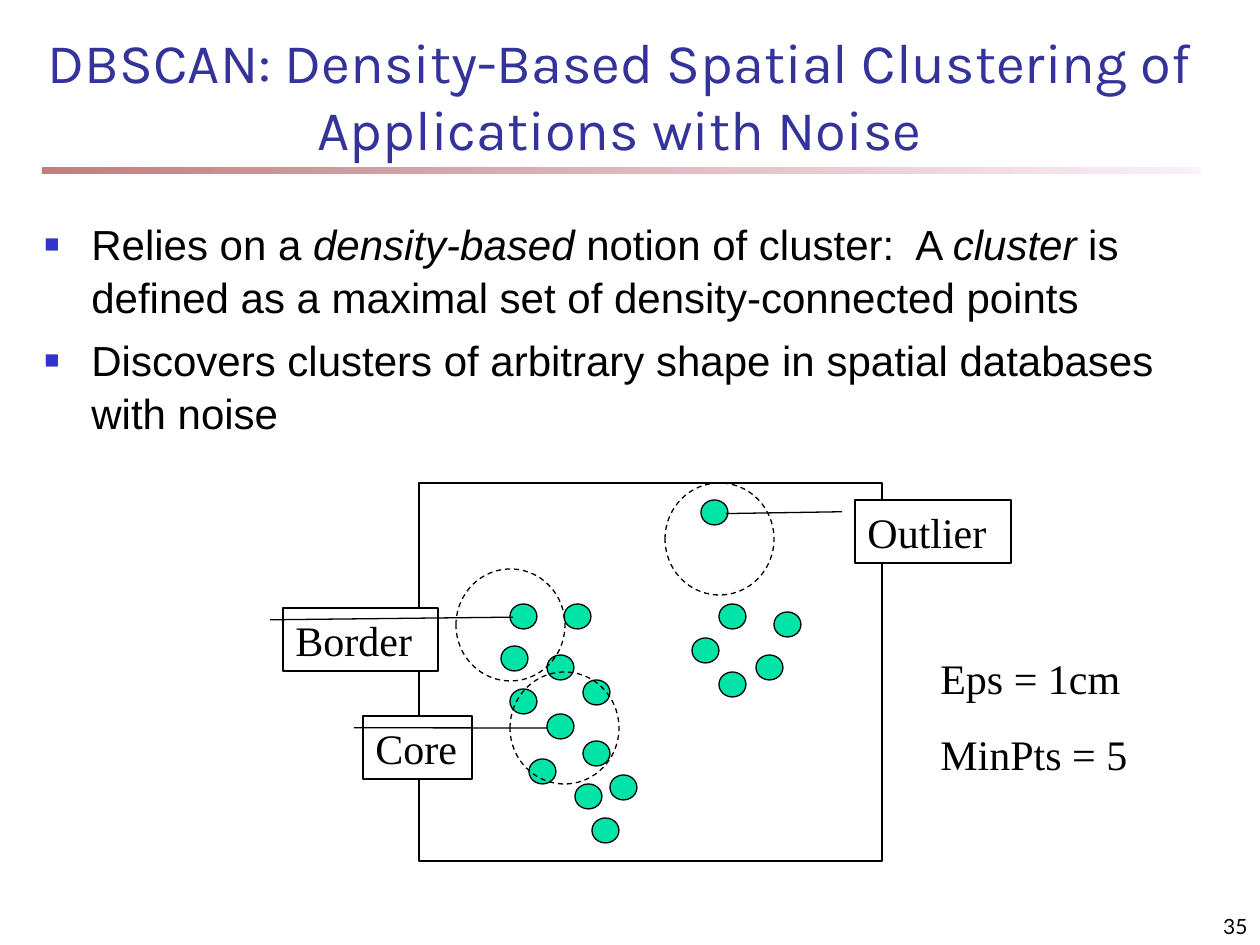
from dataclasses import dataclass

import lxml.etree
import pptx
import pptx.dml.color
import pptx.enum.dml
import pptx.enum.shapes
import pptx.enum.text
import pptx.oxml.ns
import pptx.util

PIXEL = 914400 / 126
COLORS = {
    "title": "333399",
    "text": "000000",
    "bullet": "3333CC",
    "dot": "00E4A8",
    "label": "FFFFFF",
    "rule_start": "800000",
    "rule_end": "FAE2F6",
}
SERIF = "Times New Roman"
SHAPES = pptx.enum.shapes.MSO_SHAPE
ALIGN = pptx.enum.text.PP_ALIGN
ANCHOR = pptx.enum.text.MSO_ANCHOR


@dataclass
class Box:
    left: int
    top: int
    width: int
    height: int

    def emu(self) -> list[int]:
        return [px(v) for v in (self.left, self.top, self.width, self.height)]


@dataclass
class Span:
    text: str
    italic: bool = False


@dataclass
class Callout:
    text: str
    box: Box
    end_y: float
    end_x: float


def px(value: float) -> int:
    return round(value * PIXEL)


def rgb(name: str) -> pptx.dml.color.RGBColor:
    return pptx.dml.color.RGBColor.from_string(COLORS[name])


def add_child(parent, tag: str, **attributes: str):
    return lxml.etree.SubElement(parent, pptx.oxml.ns.qn(tag), attributes)


def add_run(para, span: Span, size: int, font: str, color: str = "text") -> None:
    run = para.add_run()
    run.text = span.text
    run.font.size = pptx.util.Pt(size)
    run.font.name = font
    run.font.italic = span.italic
    run.font.color.rgb = rgb(color)


def add_text_box(page, box: Box, anchor=ANCHOR.TOP):
    frame = page.shapes.add_textbox(*box.emu()).text_frame
    frame.word_wrap = True
    frame.vertical_anchor = anchor
    return frame


def add_paragraph(frame, index: int):
    return frame.paragraphs[0] if index == 0 else frame.add_paragraph()


def add_outlined(page, kind, box: Box, fill: str | None = None, dashed: bool = False):
    shape = page.shapes.add_shape(kind, *box.emu())
    shape.shadow.inherit = False
    if fill:
        shape.fill.solid()
        shape.fill.fore_color.rgb = rgb(fill)
    else:
        shape.fill.background()
    shape.line.color.rgb = rgb("text")
    shape.line.width = pptx.util.Pt(0.74)
    if dashed:
        shape.line.dash_style = pptx.enum.dml.MSO_LINE.DASH
    return shape


def add_rule(page, box: Box) -> None:
    rule = page.shapes.add_shape(SHAPES.RECTANGLE, *box.emu())
    rule.shadow.inherit = False
    rule.line.fill.background()
    rule.fill.gradient()
    rule.fill.gradient_angle = 0
    for stop, name in zip(rule.fill.gradient_stops, ("rule_start", "rule_end")):
        stop.color.rgb = rgb(name)
    for color in rule.element.spPr.iter(pptx.oxml.ns.qn("a:srgbClr")):
        add_child(color, "a:alpha", val="50000")


def add_bullet(frame, index: int, spans: list[Span]) -> None:
    para = add_paragraph(frame, index)
    para.space_before = pptx.util.Pt(6)
    para.line_spacing = 1.05
    properties = para._p.get_or_add_pPr()
    properties.set("marL", str(px(47)))
    properties.set("indent", str(px(-47)))
    color = add_child(properties, "a:buClr")
    add_child(color, "a:srgbClr", val=COLORS["bullet"])
    add_child(properties, "a:buSzPct", val="60000")
    add_child(properties, "a:buFont", typeface="Arial")
    add_child(properties, "a:buChar", char="■")
    for span in spans:
        add_run(para, span, 24, "Arial")


def add_callout(page, callout: Callout) -> None:
    shape = add_outlined(page, SHAPES.LINE_CALLOUT_1, callout.box, "label")
    for index, value in enumerate((0.188, -0.083, callout.end_y, callout.end_x)):
        shape.adjustments[index] = value
    frame = shape.text_frame
    frame.vertical_anchor = ANCHOR.TOP
    para = frame.paragraphs[0]
    para.alignment = ALIGN.LEFT
    add_run(para, Span(callout.text), 24, SERIF)


BULLETS = [
    [
        Span("Relies on a "),
        Span("density-based", True),
        Span(" notion of cluster:  A "),
        Span("cluster", True),
        Span(" is defined as a maximal set of density-connected points"),
    ],
    [Span("Discovers clusters of arbitrary shape in spatial databases with noise")],
]
DOTS = [
    (510, 604), (501, 646), (547, 655), (564, 604), (583, 680), (510, 689),
    (547, 714), (529, 759), (575, 784), (592, 818), (583, 741), (610, 775),
    (701, 500), (719, 604), (692, 638), (756, 655), (774, 612), (719, 672),
]
NEIGHBORHOODS = [(456, 569), (510, 672), (665, 483)]
CALLOUTS = [
    Callout("Core", Box(363, 716, 109, 63), 0.191, 1.687),
    Callout("Border", Box(283, 608, 155, 63), 0.146, 1.485),
    Callout("Outlier", Box(855, 500, 156, 63), 0.217, -0.828),
]

deck = pptx.Presentation()
deck.slide_width, deck.slide_height = px(1260), px(945)
page = deck.slides.add_slide(deck.slide_layouts[5])

add_rule(page, Box(42, 167, 1159, 7))

title = page.shapes.title
title.left, title.top, title.width, title.height = Box(32, 32, 1176, 136).emu()
title.text_frame.auto_size = pptx.enum.text.MSO_AUTO_SIZE.NONE
title.text_frame.vertical_anchor = ANCHOR.BOTTOM
heading = title.text_frame.paragraphs[0]
heading.alignment = ALIGN.CENTER
heading_text = "DBSCAN: Density-Based Spatial Clustering of Applications with Noise"
add_run(heading, Span(heading_text), 32, "Karla", "title")

body = add_text_box(page, Box(32, 210, 1176, 693))
for index, spans in enumerate(BULLETS):
    add_bullet(body, index, spans)

for left, top in DOTS:
    add_outlined(page, SHAPES.OVAL, Box(left, top, 27, 25), "dot")
add_outlined(page, SHAPES.RECTANGLE, Box(419, 483, 463, 378))
for left, top in NEIGHBORHOODS:
    add_outlined(page, SHAPES.OVAL, Box(left, top, 109, 112), dashed=True)
for callout in CALLOUTS:
    add_callout(page, callout)

parameters = add_text_box(page, Box(928, 646, 227, 140))
for index, text in enumerate(("Eps = 1cm", "MinPts = 5")):
    para = add_paragraph(parameters, index)
    para.space_before = pptx.util.Pt(15)
    add_run(para, Span(text), 24, SERIF)

page_number = add_text_box(page, Box(998, 892, 262, 53), ANCHOR.BOTTOM).paragraphs[0]
page_number.alignment = ALIGN.RIGHT
add_run(page_number, Span("35"), 12, "Lato")

deck.save("out.pptx")
